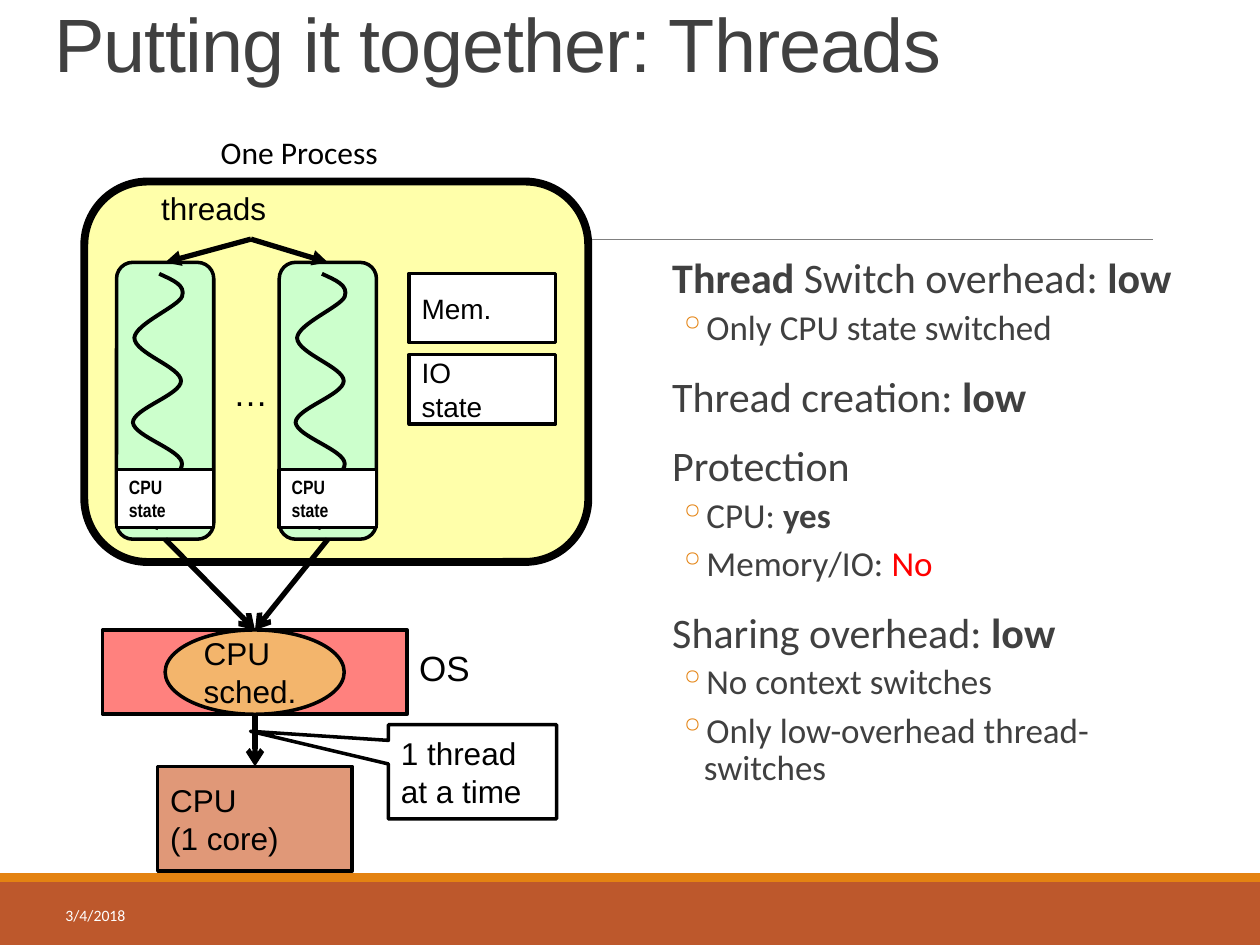
"""Build the slide on threads: process diagram at left, cost summary at right."""
import pptx
import pptx.util
import pptx.dml.color
import pptx.enum.shapes
import pptx.enum.text
import pptx.oxml
import pptx.oxml.ns

Cm, Pt = pptx.util.Cm, pptx.util.Pt
KIND = pptx.enum.shapes.MSO_SHAPE
ANCHOR = pptx.enum.text.MSO_ANCHOR
NS = pptx.oxml.ns.nsdecls("a")
HUES = {
    "black": "000000", "white": "FFFFFF", "text": "404040", "rule": "808080",
    "rust": "BD582C", "orange": "E48312", "red": "FF0000", "pink": "FF817E",
    "sand": "F3B56C", "clay": "E09878", "yellow": "FFFFAA", "green": "CCFFCC",
}
TITLE = "Putting it together: Threads"
POINTS = [
    (0, [("Thread", "bold"), (" Switch overhead: ", ""), ("low", "bold")]),
    (1, [("Only CPU state switched", "")]),
    (0, [("Thread creation: ", ""), ("low", "bold")]),
    (0, [("Protection", "")]),
    (1, [("CPU: ", ""), ("yes", "bold")]),
    (1, [("Memory/IO: ", ""), ("No", "red")]),
    (0, [("Sharing overhead: ", ""), ("low", "bold")]),
    (1, [("No context switches", "")]),
    (1, [("Only low-overhead thread-switches", "")]),
]
LEVELS = [
    {"size": 24, "left": 0.25, "hang": 0.25, "before": 12, "after": 2, "mark": " "},
    {"size": 20, "left": 1.06, "hang": 0.51, "before": 2, "after": 4, "mark": "◦"},
]
BANDS = [((0, 17.78, 25.4, 1.27), "rust"), ((0, 17.6, 25.4, 0.18), "orange")]
OS = ("OS", (8.2, 12.9, 1.55, 1.12), 20, "Arial", "black", False)
INNER = [
    ("…", (4.45, 7.37, 1.9, 1.22), 20, "Arial", "black", True),
    ("threads", (3, 3.69, 4.11, 1.12), 18, "Arial", "black", True),
]
CAPTION = ("One Process", (4.2, 2.55, 3.71, 1.02), 18, "Calibri", "black", False)
DATE = ("3/4/2018", (1.07, 17.94, 5.16, 1.02), 9, "Calibri", "white", True)
PARTS = [(["IO", "state"], 7.15), (["Mem."], 5.51)]
LANES = [2.35, 5.63]
TOP, WIDE, TALL = 5.29, 1.96, 5.58
APEX = (5.06, 4.82)
HUB = 5.14
START = (0.86, 0.23)
CURVES = [
    ((1.14, 0.36), (1.4, 0.46), (1.32, 0.69)),
    ((1.24, 0.89), (0.38, 1.24), (0.36, 1.52)),
    ((0.36, 1.83), (1.3, 2.11), (1.3, 2.39)),
    ((1.3, 2.67), (0.33, 2.95), (0.33, 3.23)),
    ((0.36, 3.51), (1.32, 3.78), (1.32, 4.06)),
    ((1.32, 4.37), (0.48, 4.72), (0.41, 4.95)),
    ((0.3, 5.16), (0.84, 5.36), (0.84, 5.36)),
]


def hue(name):
    return pptx.dml.color.RGBColor.from_string(HUES[name])


def add_run(para, text, size, font, color, bold=False):
    run = para.add_run()
    run.text = text
    run.font.size, run.font.name, run.font.bold = Pt(size), font, bold
    run.font.color.rgb = hue(color)
    return run


def fill_text(frame, lines, size, font="Arial", color="black", bold=False):
    for i, line in enumerate(lines):
        para = frame.add_paragraph() if i else frame.paragraphs[0]
        para.alignment = pptx.enum.text.PP_ALIGN.LEFT
        add_run(para, line, size, font, color, bold)


def add_box(host, kind, area, fill, line=2, lines=(), size=18, font="Arial", bold=False):
    box = host.shapes.add_shape(kind, *map(Cm, area))
    box.shadow.inherit = False
    box.fill.solid()
    box.fill.fore_color.rgb = hue(fill)
    if line:
        box.line.color.rgb, box.line.width = hue("black"), Pt(line)
    else:
        box.line.fill.background()
    box.text_frame.vertical_anchor = ANCHOR.MIDDLE
    fill_text(box.text_frame, lines, size, font, bold=bold)
    return box


def add_label(host, text, area, size, font, color, wrap):
    box = host.shapes.add_textbox(*map(Cm, area))
    box.text_frame.word_wrap = wrap
    fill_text(box.text_frame, [text], size, font, color)
    return box


def add_line(host, start, end, color="black", width=3, head=None):
    line = host.shapes.add_connector(
        pptx.enum.shapes.MSO_CONNECTOR.STRAIGHT, *map(Cm, start + end))
    line.line.color.rgb, line.line.width = hue(color), Pt(width)
    if head:
        line.line._get_or_add_ln().append(
            pptx.oxml.parse_xml(f'<a:tailEnd {NS} type="{head}"/>'))
    line._element.spPr.append(pptx.oxml.parse_xml(f"<a:effectLst {NS}/>"))
    return line


def add_wave(host, left, top):
    nodes = [START] + [curve[-1] for curve in CURVES]
    spots = [(Cm(left + x), Cm(top + y)) for x, y in nodes]
    pen = host.shapes.build_freeform(*spots[0])
    pen.add_line_segments(spots[1:], close=False)
    wave = pen.convert_to_shape()
    steps = wave._element.findall(".//" + pptx.oxml.ns.qn("a:lnTo"))
    for step, curve in zip(steps, CURVES):
        marks = "".join(
            f'<a:pt x="{Cm(left + x) - wave.left}" y="{Cm(top + y) - wave.top}"/>'
            for x, y in curve)
        bend = pptx.oxml.parse_xml(f"<a:cubicBezTo {NS}>{marks}</a:cubicBezTo>")
        step.getparent().replace(step, bend)
    wave.shadow.inherit = False
    wave.fill.background()
    wave.line.color.rgb, wave.line.width = hue("black"), Pt(2.25)


def add_points(slide):
    frame = slide.shapes.add_textbox(*map(Cm, (13.13, 5.07, 11.23, 11.86))).text_frame
    frame.word_wrap = True
    frame.margin_left = frame.margin_right = 0
    for i, (level, runs) in enumerate(POINTS):
        look = LEVELS[level]
        para = frame.add_paragraph() if i else frame.paragraphs[0]
        para.level, para.line_spacing = level, 0.9
        para.space_before, para.space_after = Pt(look["before"]), Pt(look["after"])
        props = para._p.get_or_add_pPr()
        props.set("marL", str(Cm(look["left"])))
        props.set("indent", str(-Cm(look["hang"])))
        for xml in (f'<a:buClr {NS}><a:srgbClr val="{HUES["orange"]}"/></a:buClr>',
                    f'<a:buChar {NS} char="{look["mark"]}"/>'):
            props.append(pptx.oxml.parse_xml(xml))
        for text, style in runs:
            color = "red" if style == "red" else "text"
            add_run(para, text, look["size"], "Calibri", color, style == "bold")


def add_title(slide):
    title = slide.shapes.title
    title.left, title.top, title.width, title.height = map(Cm, (0.84, 0.43, 23.93, 1.47))
    frame = title.text_frame
    frame.auto_size = pptx.enum.text.MSO_AUTO_SIZE.NONE
    frame.vertical_anchor = ANCHOR.BOTTOM
    para = frame.paragraphs[0]
    para.alignment, para.line_spacing = pptx.enum.text.PP_ALIGN.LEFT, 0.85
    run = add_run(para, TITLE, 43.2, "Arial", "text")
    run.font._element.set("spc", "-50")


def add_system(slide):
    group = slide.shapes.add_group_shape()
    system = add_box(group, KIND.RECTANGLE, (2.07, 12.7, 6.14, 1.7), "pink")
    add_box(group, KIND.OVAL, (3.33, 12.7, 3.61, 1.7), "sand", lines=["CPU sched."])
    add_label(group, *OS)
    core = add_box(slide, KIND.RECTANGLE, (3.18, 15.45, 3.92, 2.11), "clay",
                   lines=["CPU", "(1 core)"])
    feed = add_line(slide, (HUB, 14.4), (HUB, 15.45), head="arrow")
    feed.begin_connect(system, 2)
    feed.end_connect(core, 0)
    note = add_box(slide, KIND.RECTANGULAR_CALLOUT, (7.83, 14.61, 3.39, 1.9), "white",
                   lines=["1 thread at a time"])
    note.adjustments[0], note.adjustments[1] = -1.32, -0.43
    return system


def add_process(slide, system):
    group = slide.shapes.add_group_shape()
    add_box(group, KIND.ROUNDED_RECTANGLE, (1.7, 3.66, 10.16, 7.67), "yellow", 4.5)
    for lines, top in PARTS:
        add_box(group, KIND.RECTANGLE, (8.25, top, 2.95, 1.4), "white", lines=lines, size=16)
    lanes = []
    for left in LANES:
        lanes.append(add_box(
            group, KIND.ROUNDED_RECTANGLE, (left, TOP, WIDE, TALL), "green"))
        add_wave(group, left, TOP)
    for label in INNER:
        add_label(group, *label)
    for left, lane in zip(LANES, lanes):
        mid = left + WIDE / 2
        add_line(group, APEX, (mid, TOP), head="triangle").end_connect(lane, 0)
        add_box(group, KIND.RECTANGLE, (left, TOP + 4.18, WIDE, 1.17), "white",
                lines=["CPU", "state"], size=11, font="Arial Narrow", bold=True)
        down = add_line(slide, (mid, TOP + TALL), (HUB, 12.7), head="arrow")
        down.begin_connect(lane, 2)
        down.end_connect(system, 0)


def main():
    deck = pptx.Presentation()
    deck.slide_width, deck.slide_height = Cm(25.4), Cm(19.05)
    slide = deck.slides.add_slide(deck.slide_layouts[5])
    for area, fill in BANDS:
        add_box(slide, KIND.RECTANGLE, area, fill, 0)
    add_line(slide, (2.49, 4.83), (23.24, 4.83), "rule", 0.5)
    add_title(slide)
    add_points(slide)
    add_label(slide, *DATE).text_frame.vertical_anchor = ANCHOR.MIDDLE
    add_process(slide, add_system(slide))
    add_label(slide, *CAPTION)
    deck.save("out.pptx")


if __name__ == "__main__":
    main()
